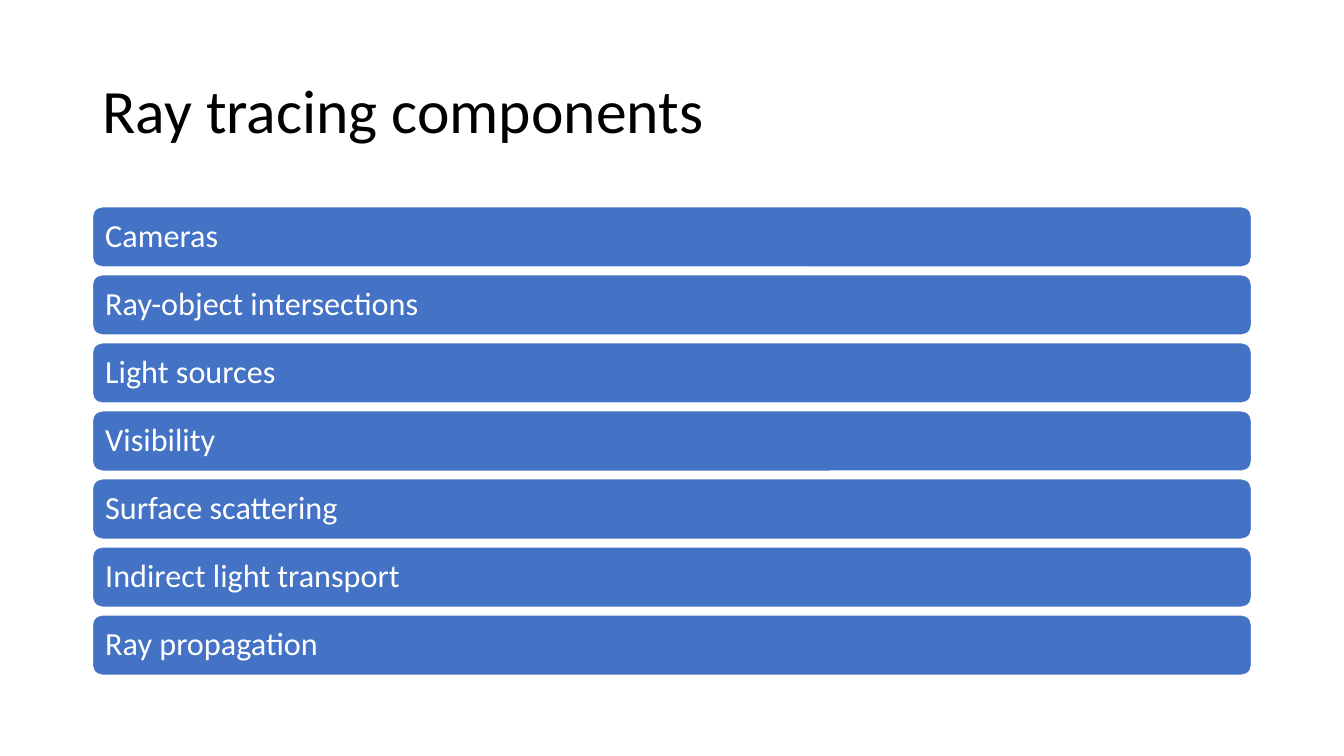
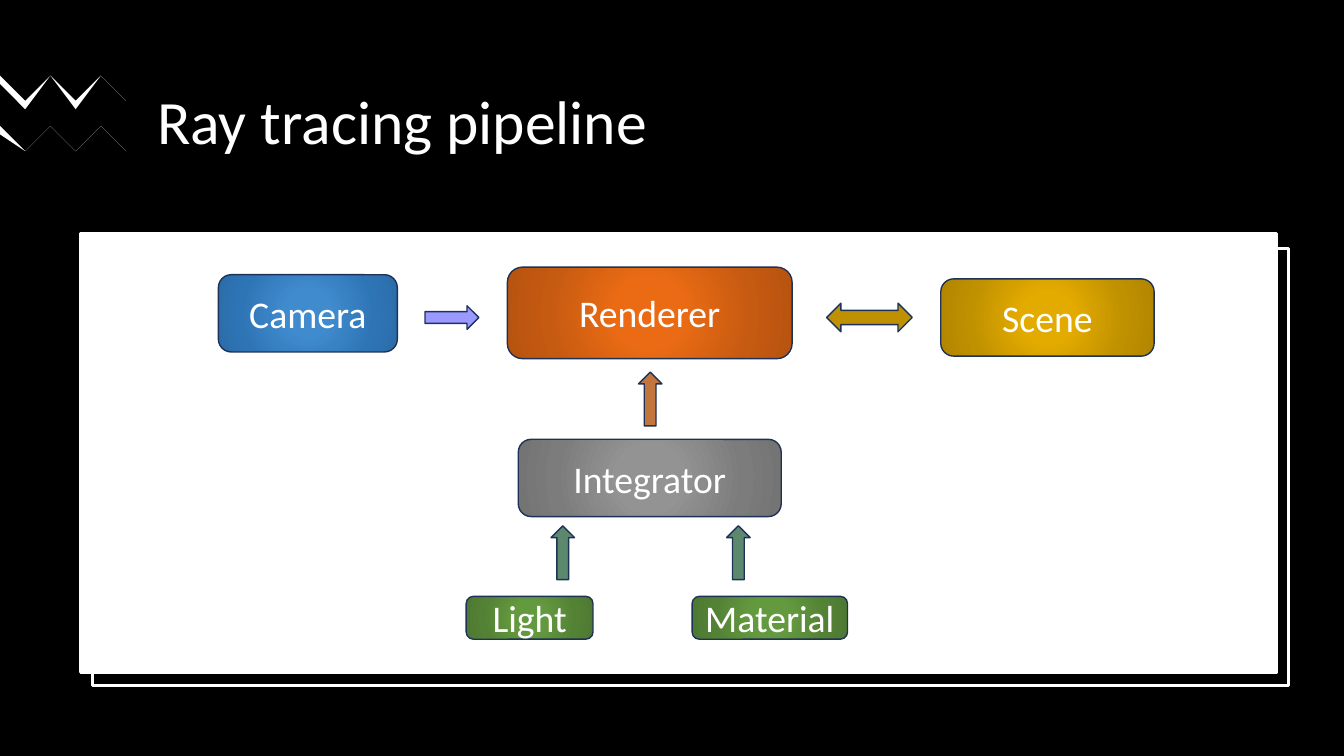
from dataclasses import dataclass

from lxml import etree
from pptx import Presentation
from pptx.dml.color import RGBColor
from pptx.enum.shapes import MSO_SHAPE
from pptx.enum.text import MSO_ANCHOR, MSO_AUTO_SIZE, PP_ALIGN
from pptx.oxml.ns import qn
from pptx.shapes.autoshape import Shape
from pptx.slide import Slide
from pptx.text.text import TextFrame
from pptx.util import Inches, Pt

RECT, ROUND = MSO_SHAPE.RECTANGLE, MSO_SHAPE.ROUNDED_RECTANGLE
UP, RIGHT, BOTH = MSO_SHAPE.UP_ARROW, MSO_SHAPE.RIGHT_ARROW, MSO_SHAPE.LEFT_RIGHT_ARROW
LEFT, CENTER = PP_ALIGN.LEFT, PP_ALIGN.CENTER
MIDDLE, FIXED = MSO_ANCHOR.MIDDLE, MSO_AUTO_SIZE.NONE

# The slide is a grid of 160 columns by 90 rows of square cells.
WIDTH, HEIGHT = Inches(13.333), Inches(7.5)
CELL = HEIGHT / 90
FONT = "Calibri"
WHITE, BLACK, BLUE, NAVY = "FFFFFF", "000000", "4472C4", "1E3256"
ORANGE = ("EA6B14", "C55A11", "B85410")
GRAY = ("939393", "7C7C7C", "747474")
GOLD = ("E3AB00", "BF9000", "B28600")
GREEN = ("649A3F", "548235", "4E7932")
AZURE = ("408BCE", "2E75B6", "2B6DA9")


@dataclass(frozen=True)
class Box:
    col: float
    row: float
    cols: float
    rows: float

    def place(self) -> tuple[int, ...]:
        return tuple(round(n * CELL) for n in (self.col, self.row, self.cols, self.rows))


@dataclass(frozen=True)
class Node:
    label: str
    box: Box
    tones: tuple[str, str, str]


@dataclass(frozen=True)
class Arrow:
    kind: MSO_SHAPE
    box: Box
    color: str


TOPICS = (
    "Cameras",
    "Ray-object intersections",
    "Light sources",
    "Visibility",
    "Surface scattering",
    "Indirect light transport",
    "Ray propagation",
)
BAR, STEP = Box(11, 24.6, 138, 7.2), 8.1

NODES = (
    Node("Renderer", Box(60.4, 31.8, 33.9, 10.9), ORANGE),
    Node("Integrator", Box(61.7, 52.3, 31.3, 9.2), GRAY),
    Node("Scene", Box(112, 33.2, 25.4, 9.2), GOLD),
    Node("Light", Box(55.5, 71, 15.1, 5.1), GREEN),
    Node("Material", Box(82.4, 71, 18.5, 5.1), GREEN),
    Node("Camera", Box(26, 32.7, 21.3, 9.2), AZURE),
)
ARROWS = (
    Arrow(UP, Box(65.6, 62.6, 2.8, 6.4), "5C886E"),
    Arrow(UP, Box(86.5, 62.6, 2.8, 6.4), "5C886E"),
    Arrow(UP, Box(76, 44.3, 2.8, 6.4), "C2753C"),
    Arrow(RIGHT, Box(50.6, 36.4, 6.4, 2.8), "9999FF"),
    Arrow(BOTH, Box(98.4, 36.1, 10.2, 3.4), "BF9000"),
)
EDGE = ((0, 0.36), (2.9, 3.1), (6, 0), (9, 3.1), (12.1, 0), (15.4, 3.2))
TIP, THICK = (15.1, 3.5), 0.55
WAVES = (8.9, 14.6)


def tint(code: str) -> RGBColor:
    return RGBColor.from_string(code)


def write(frame: TextFrame, text: str, *, size: float, color: str,
          align: PP_ALIGN = LEFT, lead: float = 1, after: float = 0) -> None:
    frame.auto_size = FIXED
    frame.word_wrap = True
    frame.vertical_anchor = MIDDLE
    frame.text = text
    para = frame.paragraphs[0]
    para.alignment = align
    para.line_spacing = lead
    para.space_after = Pt(after)
    para.font.name = FONT
    para.font.size = Pt(size)
    para.font.color.rgb = tint(color)


def paint(shape: Shape, fill: str, line: str | None = None, width: float = 1) -> None:
    shape.shadow.inherit = False
    shape.fill.solid()
    shape.fill.fore_color.rgb = tint(fill)
    if line:
        shape.line.color.rgb = tint(line)
        shape.line.width = Pt(width)
    else:
        shape.line.fill.background()


def glow(shape: Shape, tones: tuple[str, str, str]) -> None:
    """Swap the solid fill for a round gradient from the centre outwards."""
    solid = shape.fill._xPr.find(qn("a:solidFill"))
    grad = etree.Element(qn("a:gradFill"), rotWithShape="1")
    stops = etree.SubElement(grad, qn("a:gsLst"))
    for share, code in zip((0, 23, 69, 97), (tones[0], *tones)):
        stop = etree.SubElement(stops, qn("a:gs"), pos=str(share * 1000))
        etree.SubElement(stop, qn("a:srgbClr"), val=code)
    way = etree.SubElement(grad, qn("a:path"), path="circle")
    etree.SubElement(way, qn("a:fillToRect"), l="50000", t="50000", r="50000", b="50000")
    solid.getparent().replace(solid, grad)


def draw(slide: Slide, kind: MSO_SHAPE, box: Box, fill: str,
         line: str, width: float = 1) -> Shape:
    shape = slide.shapes.add_shape(kind, *box.place())
    paint(shape, fill, line, width)
    return shape


def wave(slide: Slide, row: float) -> None:
    low = [(x, y + THICK) for x, y in EDGE[:-1]]
    points = [(x, y + row) for x, y in (*EDGE, TIP, *reversed(low))]
    pen = slide.shapes.build_freeform(*points[0], scale=CELL)
    pen.add_line_segments(points[1:], close=True)
    paint(pen.convert_to_shape(), WHITE)


def start(deck: Presentation, text: str, box: Box, ink: str, back: str) -> Slide:
    """Add a slide with its background and title."""
    slide = deck.slides.add_slide(deck.slide_layouts[5])
    slide.background.fill.solid()
    slide.background.fill.fore_color.rgb = tint(back)
    title = slide.shapes.title
    title.left, title.top, title.width, title.height = box.place()
    write(title.text_frame, text, size=44, color=ink, lead=0.9)
    return slide


def parts(deck: Presentation) -> None:
    slide = start(deck, "Ray tracing components", Box(11, 4.8, 138, 17.4), BLACK, WHITE)
    for i, topic in enumerate(TOPICS):
        box = Box(BAR.col, BAR.row + i * STEP, BAR.cols, BAR.rows)
        bar = draw(slide, ROUND, box, BLUE, WHITE)
        write(bar.text_frame, topic, size=23, color=WHITE, lead=0.9)


def flow(deck: Presentation) -> None:
    slide = start(deck, "Ray tracing pipeline", Box(17.5, 7.4, 127.9, 14.8), WHITE, BLACK)
    for row in WAVES:
        wave(slide, row)
    draw(slide, RECT, Box(11, 29.6, 142.4, 52), BLACK, WHITE, 2.25)
    draw(slide, RECT, Box(9.6, 27.8, 142.4, 52.2), WHITE, WHITE, 2.25)
    for node in NODES:
        shape = draw(slide, ROUND, node.box, node.tones[0], NAVY)
        glow(shape, node.tones)
        write(shape.text_frame, node.label, size=26.9, color=WHITE, align=CENTER, after=6)
    for arrow in ARROWS:
        draw(slide, arrow.kind, arrow.box, arrow.color, NAVY)


def main() -> None:
    deck = Presentation()
    deck.slide_width, deck.slide_height = WIDTH, HEIGHT
    parts(deck)
    flow(deck)
    deck.save("out.pptx")


if __name__ == "__main__":
    main()
